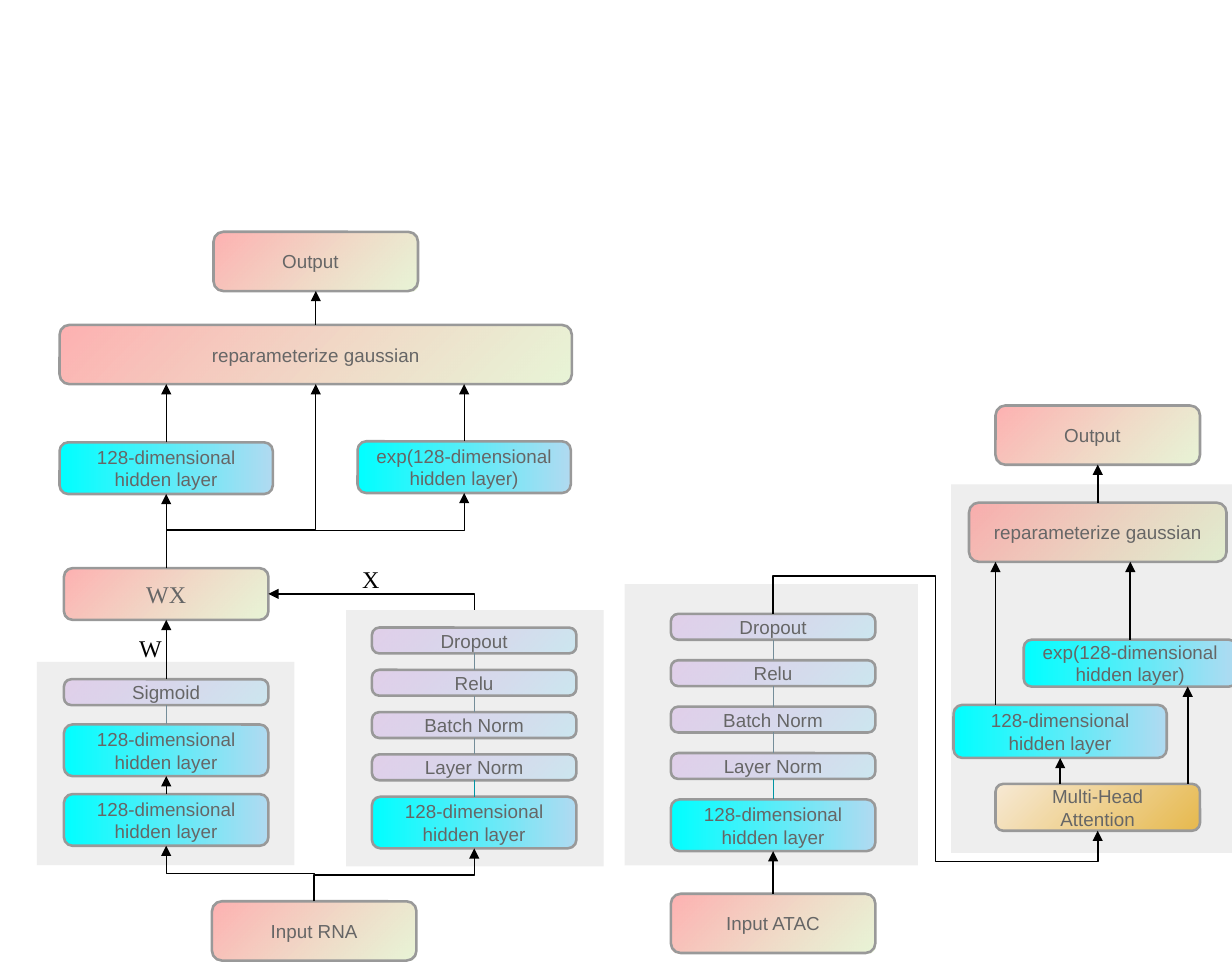
from lxml.etree import SubElement
from pptx import Presentation
from pptx.dml.color import RGBColor
from pptx.enum.shapes import MSO_CONNECTOR, MSO_SHAPE
from pptx.enum.text import MSO_ANCHOR, MSO_AUTO_SIZE, PP_ALIGN
from pptx.oxml.ns import qn
from pptx.util import Pt

BLACK = RGBColor(0x00, 0x00, 0x00)
TEXT = RGBColor(0x66, 0x66, 0x66)
BORDER = RGBColor(0x99, 0x99, 0x99)
PANEL = RGBColor(0xEE, 0xEE, 0xEE)
TEAL = RGBColor(0x00, 0x94, 0xA3)
SLATE = RGBColor(0x74, 0x8D, 0x99)

# Gradients: counter-clockwise angle, then (colour, opacity %) from first to last stop
ROSE = (135, (RGBColor(0xD8, 0xED, 0xBA), 58), (RGBColor(0xFE, 0x96, 0x96), 74))
CYAN = (0, (RGBColor(0x00, 0xFF, 0xFF), 100), (RGBColor(0xB0, 0xDA, 0xF1), 100))
LILAC = (135, (RGBColor(0x69, 0xD4, 0xF4), 26), (RGBColor(0x9F, 0x39, 0xD5), 17))
GOLD = (315, (RGBColor(0xF7, 0xE9, 0xD4), 100), (RGBColor(0xE6, 0xB9, 0x4E), 100))

SANS, SERIF = "Arial", "Times New Roman"
NODE_W, WIDE_W = 119.5, 124.6
THIN_H, LAYER_H, NODE_H, SHORT_H = 15.1, 30.2, 34.6, 27.4
HIDDEN = "128-dimensional hidden layer"
EXP_HIDDEN = "exp(128-dimensional hidden layer)"
GAUSSIAN = "reparameterize gaussian"
TOP, BOTTOM = 0, 2


def write_text(tf, text, *, font=SANS, size=11, color=TEXT, align=PP_ALIGN.CENTER):
    """Fill a text frame, one paragraph per line of text."""
    tf.word_wrap = True
    for i, line in enumerate(text.split("\n")):
        p = tf.paragraphs[0] if i == 0 else tf.add_paragraph()
        p.alignment = align
        r = p.add_run()
        r.text = line
        r.font.name, r.font.size, r.font.color.rgb = font, Pt(size), color


class Diagram:
    inset = 7.2
    border = 1.5

    def __init__(self, slide):
        self.s = slide

    def panel(self, x, y, w, h):
        sp = self.s.shapes.add_shape(MSO_SHAPE.RECTANGLE, Pt(x), Pt(y), Pt(w), Pt(h))
        sp.shadow.inherit = False
        sp.fill.solid()
        sp.fill.fore_color.rgb = PANEL
        sp.line.fill.background()

    def node(self, text, x, y, w=NODE_W, h=NODE_H, look=ROSE, shift=0, **fmt):
        """Rounded gradient box; shift widens the right inset."""
        sp = self.s.shapes.add_shape(MSO_SHAPE.ROUNDED_RECTANGLE, Pt(x), Pt(y), Pt(w), Pt(h))
        sp.shadow.inherit = False
        sp.adjustments[0] = 0.285 if h == THIN_H else 0.167
        angle, *stops = look
        sp.fill.gradient()
        sp.fill.gradient_angle = angle
        for stop, (color, _) in zip(sp.fill.gradient_stops, stops):
            stop.color.rgb = color
        grad = sp._element.spPr.find(qn("a:gradFill"))
        for clr, (_, opacity) in zip(grad.iter(qn("a:srgbClr")), stops):
            if opacity < 100:
                SubElement(clr, qn("a:alpha"), val=str(opacity * 1000))
        sp.line.color.rgb, sp.line.width = BORDER, Pt(self.border)
        tf = sp.text_frame
        tf.margin_left = tf.margin_top = tf.margin_bottom = Pt(self.inset)
        tf.margin_right = Pt(self.inset + shift)
        tf.vertical_anchor = MSO_ANCHOR.MIDDLE
        write_text(tf, text, **fmt)
        return sp

    def label(self, text, x, y):
        tb = self.s.shapes.add_textbox(Pt(x), Pt(y), Pt(27.4), Pt(24.5))
        tb.text_frame.auto_size = MSO_AUTO_SIZE.SHAPE_TO_FIT_TEXT
        write_text(tb.text_frame, text, font=SERIF, size=14, color=BLACK, align=PP_ALIGN.LEFT)

    def finish(self, c, color, width, arrow):
        c.line.color.rgb, c.line.width = color, Pt(width)
        spPr = c._element.spPr
        if arrow:
            SubElement(spPr.find(qn("a:ln")), qn("a:tailEnd"), type="triangle")
        SubElement(spPr, qn("a:effectLst"))

    def line(self, start, end, color=BLACK, width=0.75, arrow=True):
        """Straight connector; an end is (x, y) or (shape, side)."""
        c = self.s.shapes.add_connector(MSO_CONNECTOR.STRAIGHT, 0, 0, 0, 0)
        if isinstance(start[0], (int, float)):
            c.begin_x, c.begin_y = map(Pt, start)
        else:
            c.begin_connect(*start)
        if isinstance(end[0], (int, float)):
            c.end_x, c.end_y = map(Pt, end)
        else:
            c.end_connect(*end)
        self.finish(c, color, width, arrow)

    def elbow(self, start, end, bends=3, adj=(), width=0.75):
        """Bent arrow that leaves upwards: a horizontal one turned by 270 degrees."""
        (x1, y1), (x2, y2) = start, end
        cx, cy = (x1 + x2) / 2, (y1 + y2) / 2
        half_w, half_h = (y1 - y2) / 2, (x2 - x1) / 2
        c = self.s.shapes.add_connector(MSO_CONNECTOR.ELBOW, Pt(cx - half_w), Pt(cy - half_h),
                                        Pt(cx + half_w), Pt(cy + half_h))
        c._element.spPr.find(qn("a:xfrm")).set("rot", str(270 * 60000))
        geom = c._element.spPr.find(qn("a:prstGeom"))
        geom.set("prst", f"bentConnector{bends}")
        av = geom.find(qn("a:avLst"))
        if av is None:
            av = SubElement(geom, qn("a:avLst"))
        for i, a in enumerate(adj, 1):
            SubElement(av, qn("a:gd"), name=f"adj{i if bends > 3 else 1}",
                       fmla=f"val {round(a * 100000)}")
        self.finish(c, BLACK, width, True)

    def norm_stack(self, x, top, step):
        """Hidden layer with normalisation, activation and dropout above it."""
        names = ["Dropout", "Relu", "Batch Norm", "Layer Norm"]
        stack = [self.node(n, x, top + i * step, h=THIN_H, look=LILAC)
                 for i, n in enumerate(names)]
        stack.append(self.node(HIDDEN, x, top + 4 * step, h=LAYER_H, look=CYAN))
        for upper, lower in zip(stack, stack[1:]):
            color = TEAL if lower is stack[-1] else SLATE
            self.line((lower, TOP), (upper, BOTTOM), color, arrow=False)
        return stack[-1]


def build_rna(d):
    # Input and the two encoder panels
    d.node("Input RNA", 123.9, 526.5)
    d.panel(202.3, 356.4, 150.5, 149.8)
    d.norm_stack(217.4, 366.6, 24.7)
    d.panel(21.6, 386.6, 150.5, 118.8)
    lower = d.node(HIDDEN, 37.4, 463.9, h=LAYER_H, look=CYAN)
    upper = d.node(HIDDEN, 37.4, 423.2, h=LAYER_H, look=CYAN)
    sigmoid = d.node("Sigmoid", 37.4, 396.8, h=THIN_H, look=LILAC)
    d.line((lower, TOP), (upper, BOTTOM))
    d.line((upper, TOP), (sigmoid, BOTTOM), SLATE, arrow=False)

    # Weighted product and latent layers
    wx = d.node("WX", 37.4, 331.9, h=LAYER_H, font=SERIF, size=14)
    d.label("X", 204.5, 326.2)
    d.label("W", 74.2, 366.5)
    mean = d.node(HIDDEN, 34.85, 258.4, WIDE_W, LAYER_H, CYAN)
    spread = d.node(EXP_HIDDEN, 209, 257.8, WIDE_W, LAYER_H, CYAN)
    gaussian = d.node(GAUSSIAN, 34.85, 189.8, 299.4)
    output = d.node("Output", 124.8, 135.4, shift=6)

    # Flow
    d.line((sigmoid, TOP), (wx, BOTTOM))
    d.line((wx, TOP), (mean, BOTTOM))
    d.line((mean, TOP), (97.15, 224.4))
    d.line((spread, TOP), (271.3, 224.4))
    d.line((gaussian, TOP), (output, BOTTOM))
    d.elbow((277.2, 356.4), (156.9, 347), bends=2)
    d.elbow((97.15, 331.9), (271.3, 288))
    d.elbow((97.15, 331.9), (184.55, 224.4), adj=[0.21])
    d.elbow((183.6, 526.5), (277.2, 495.6))
    d.elbow((183.6, 526.5), (97.15, 494.1))


def build_atac(d):
    # Input and encoder panel
    source = d.node("Input ATAC", 392.1, 522.1)
    d.panel(365, 341.3, 171.4, 164.2)
    layer = d.norm_stack(392.1, 358.6, 27.1)
    d.line((source, TOP), (layer, BOTTOM), width=1)

    # Attention, latent layers and output
    d.panel(555.8, 283, 171.4, 215.3)
    gaussian = d.node(GAUSSIAN, 566.3, 293.6, 150.5)
    mean = d.node(HIDDEN, 557.3, 411.8, WIDE_W, 31, CYAN)
    spread = d.node(EXP_HIDDEN, 598.3, 373.7, WIDE_W, SHORT_H, CYAN)
    d.node("Multi-Head\nAttention", 581.8, 457.9, h=SHORT_H, look=GOLD)
    output = d.node("Output", 581.8, 236.9, shift=6)

    # Flow
    d.line((619.6, 457.9), (mean, BOTTOM), width=1)
    d.line((694.1, 457.9), (694.1, 401.1), width=1)
    d.line((581.8, 411.8), (581.8, 328.2), width=1)
    d.line((spread, TOP), (660.6, 328.2), width=1)
    d.line((gaussian, TOP), (output, BOTTOM), width=1)
    d.elbow((451.85, 358.6), (641.55, 485.3), bends=5, adj=[-0.175, 0.5, 1.142], width=1)


def main():
    prs = Presentation()
    prs.slide_width, prs.slide_height = Pt(720), Pt(566.64)
    d = Diagram(prs.slides.add_slide(prs.slide_layouts[6]))
    build_atac(d)
    build_rna(d)
    prs.save("out.pptx")


if __name__ == "__main__":
    main()
